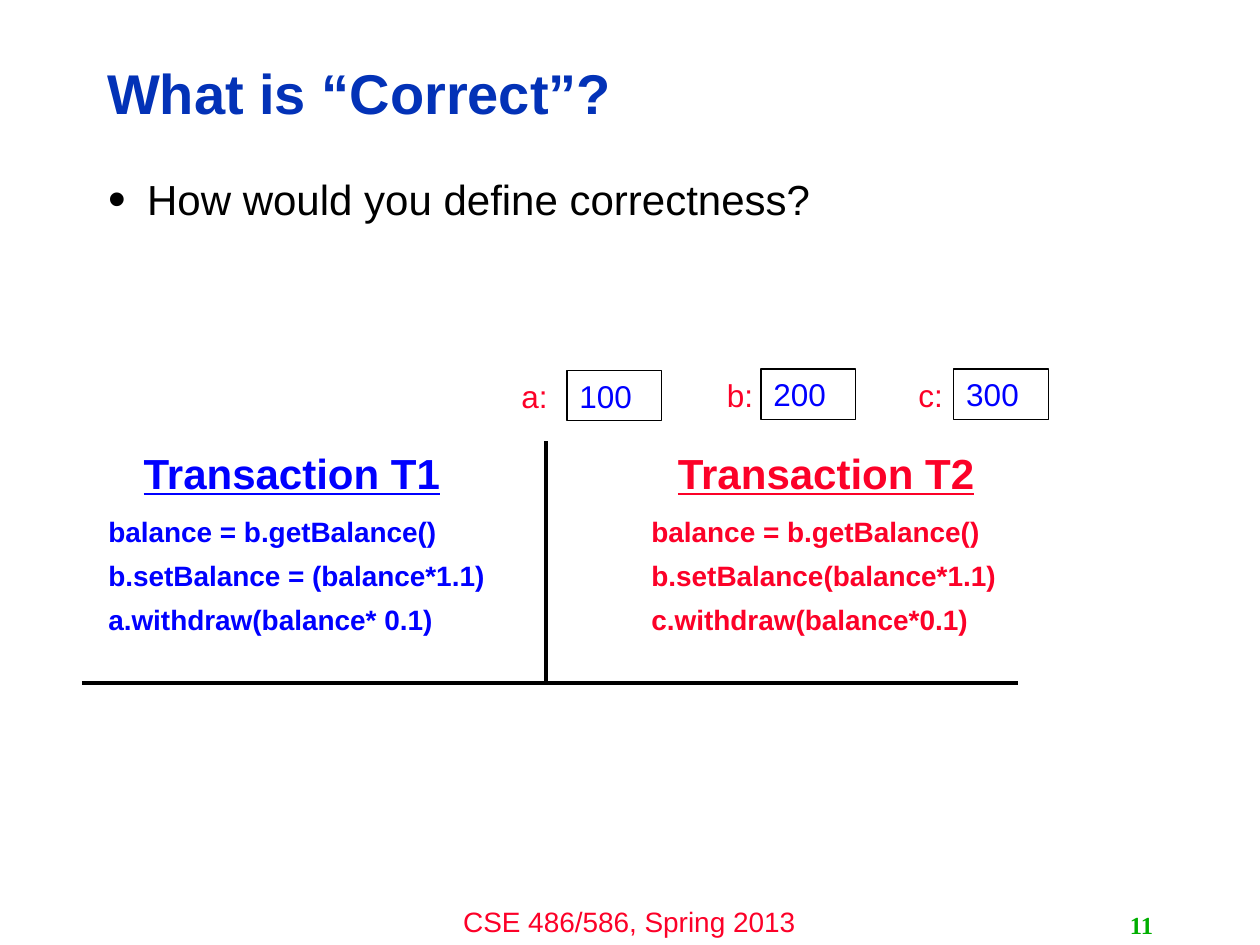
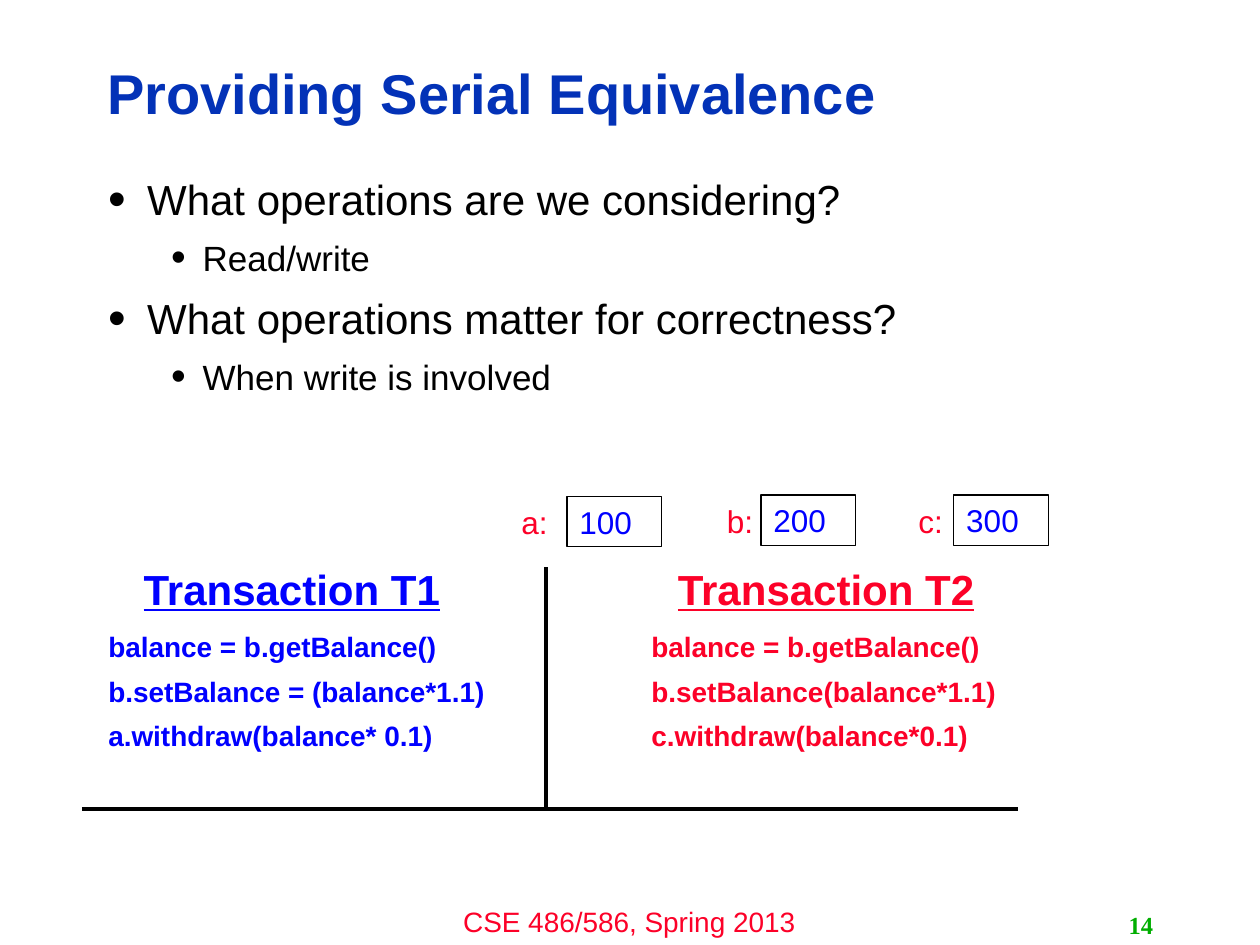
"""Build two slides that compare concurrent bank transactions."""
from lxml import etree
from pptx import Presentation
from pptx.dml import color
from pptx.enum import shapes, text
from pptx.oxml import ns
from pptx.util import Inches, Pt

BLACK, NAVY, BLUE, RED, GREEN = "000000", "0332B7", "0000FF", "FC0128", "00AE00"
SANS, SERIF = "Arial", "Times New Roman"
FOOTER = "CSE 486/586, Spring 2013"
ACCOUNTS = [("a:", "100", 4.04, 4.5, 0.01), ("b:", "200", 5.67, 6.04, 0), ("c:", "300", 7.19, 7.57, 0)]
T1_CODE = ["balance = b.getBalance()", "b.setBalance = (balance*1.1)", "a.withdraw(balance* 0.1)"]
T2_CODE = ["balance = b.getBalance()", "b.setBalance(balance*1.1)", "c.withdraw(balance*0.1)"]


def rgb(value):
    return color.RGBColor.from_string(value)


def add_span(para, words, size, hue, bold=False, underline=False, face=SANS):
    span = para.add_run()
    span.text = words
    font = span.font
    font.name, font.size, font.bold, font.underline = face, Pt(size), bold, underline
    font.color.rgb = rgb(hue)


def set_frame(box, anchor, inset=(0.1, 0.05), wrap=True):
    frame = box.text_frame
    frame.word_wrap, frame.auto_size = wrap, text.MSO_AUTO_SIZE.NONE
    frame.vertical_anchor = anchor
    frame.margin_left = frame.margin_right = Inches(inset[0])
    frame.margin_top = frame.margin_bottom = Inches(inset[1])
    return frame


def add_box(page, left, top, width, height, anchor=text.MSO_ANCHOR.MIDDLE, **options):
    box = page.shapes.add_textbox(Inches(left), Inches(top), Inches(width), Inches(height))
    return set_frame(box, anchor, **options)


def add_label(page, place, words, size, hue, align=text.PP_ALIGN.LEFT, **style):
    para = add_box(page, *place).paragraphs[0]
    para.alignment = align
    add_span(para, words, size, hue, **style)


def add_element(parent, tag, **attributes):
    return etree.SubElement(parent, ns.qn(tag), attributes)


def next_para(frame, index):
    return frame.add_paragraph() if index else frame.paragraphs[0]


def add_title(page, words):
    title = page.shapes.title
    title.left, title.top, title.width, title.height = map(Inches, (0.75, 0.36, 7.98, 0.81))
    para = set_frame(title, text.MSO_ANCHOR.MIDDLE).paragraphs[0]
    para.alignment, para.line_spacing = text.PP_ALIGN.LEFT, 0.9
    add_span(para, words, 32, NAVY, bold=True)


def add_bullets(page, items):
    frame = add_box(page, 0.76, 1.33, 8.4, 2.1, anchor=text.MSO_ANCHOR.TOP)
    for index, (level, words) in enumerate(items):
        size, margin, hang, gap = [(24, 0.31, 0.31, 8.3), (20, 0.75, 0.25, 6.9)][level]
        para = next_para(frame, index)
        para.level = level
        props = para._p.get_or_add_pPr()
        props.set("marL", str(Inches(margin)))
        props.set("indent", str(-Inches(hang)))
        add_element(add_element(props, "a:buClr"), "a:srgbClr", val=BLACK)
        add_element(props, "a:buSzPct", val="120000")
        add_element(props, "a:buFont", typeface=SANS)
        add_element(props, "a:buChar", char="•")
        para.space_before = Pt(gap if index else 0)
        add_span(para, words, size, BLACK)


def add_line(page, x1, y1, x2, y2):
    line = page.shapes.add_connector(
        shapes.MSO_CONNECTOR.STRAIGHT, Inches(x1), Inches(y1), Inches(x2), Inches(y2))
    line.line.color.rgb, line.line.width = rgb(BLACK), Pt(2.25)
    add_element(line._element.spPr, "a:effectLst")


def add_account(page, name, amount, name_left, amount_left, top):
    box = page.shapes.add_shape(
        shapes.MSO_SHAPE.RECTANGLE, Inches(amount_left), Inches(top), Inches(0.75), Inches(0.4))
    box.shadow.inherit = False
    box.fill.background()
    box.line.color.rgb, box.line.width = rgb(BLACK), Pt(0.75)
    para = set_frame(box, text.MSO_ANCHOR.MIDDLE).paragraphs[0]
    para.alignment = text.PP_ALIGN.LEFT
    add_span(para, amount, 18, BLUE)
    add_label(page, (name_left, top + 0.02, 0.56, 0.37), name, 18, RED)


def add_heading(page, left, top, words, tabs, hue):
    frame = add_box(page, left, top, 3.8, 0.4, anchor=text.MSO_ANCHOR.TOP, inset=(0, 0), wrap=False)
    para = frame.paragraphs[0]
    stops = add_element(para._p.get_or_add_pPr(), "a:tabLst")
    for stop in tabs:
        add_element(stops, "a:tab", pos=str(Inches(stop)), algn="l")
    add_span(para, words, 24, hue, bold=True, underline=True)


def add_code(page, left, top, lines, hue):
    frame = add_box(page, left, top, 3.3, 1.05, anchor=text.MSO_ANCHOR.TOP, inset=(0, 0))
    for index, line in enumerate(lines):
        para = next_para(frame, index)
        para.space_before = Pt(6 if index else 0)
        add_span(para, line, 16, hue, bold=True)


def add_transactions(page, text_top, frame_top):
    add_heading(page, 1.14, text_top, "Transaction T1\t", [2.54], BLUE)
    add_heading(page, 4.17, text_top, "\tTransaction T2\t", [1.21, 3.65], RED)
    add_code(page, 0.86, text_top + 0.53, T1_CODE, BLUE)
    add_code(page, 5.17, text_top + 0.53, T2_CODE, RED)
    base = frame_top + 2.49
    add_line(page, 4.33, frame_top + 0.57, 4.33, base)
    for name, amount, name_left, amount_left, drop in ACCOUNTS:
        add_account(page, name, amount, name_left, amount_left, frame_top + drop)
    add_line(page, 0.65, base, 8.08, base)


def add_slide(deck, title, number, bullets, text_top, frame_top):
    page = deck.slides.add_slide(deck.slide_layouts[5])
    add_label(page, (3.33, 7.13, 3.33, 0.37), FOOTER, 16, RED, text.PP_ALIGN.CENTER)
    add_title(page, title)
    add_bullets(page, bullets)
    add_label(page, (7.17, 7.18, 2.08, 0.32), number, 14, GREEN, text.PP_ALIGN.RIGHT, bold=True, face=SERIF)
    add_transactions(page, text_top, frame_top)


def main():
    deck = Presentation()
    deck.slide_width, deck.slide_height = Inches(10), Inches(7.5)
    add_slide(deck, "What is “Correct”?", "11", [(0, "How would you define correctness?")], 3.55, 2.93)
    add_slide(deck, "Providing Serial Equivalence", "14", [
        (0, "What operations are we considering?"), (1, "Read/write"),
        (0, "What operations matter for correctness?"), (1, "When write is involved"),
    ], 4.47, 3.93)
    deck.save("out.pptx")


if __name__ == "__main__":
    main()
